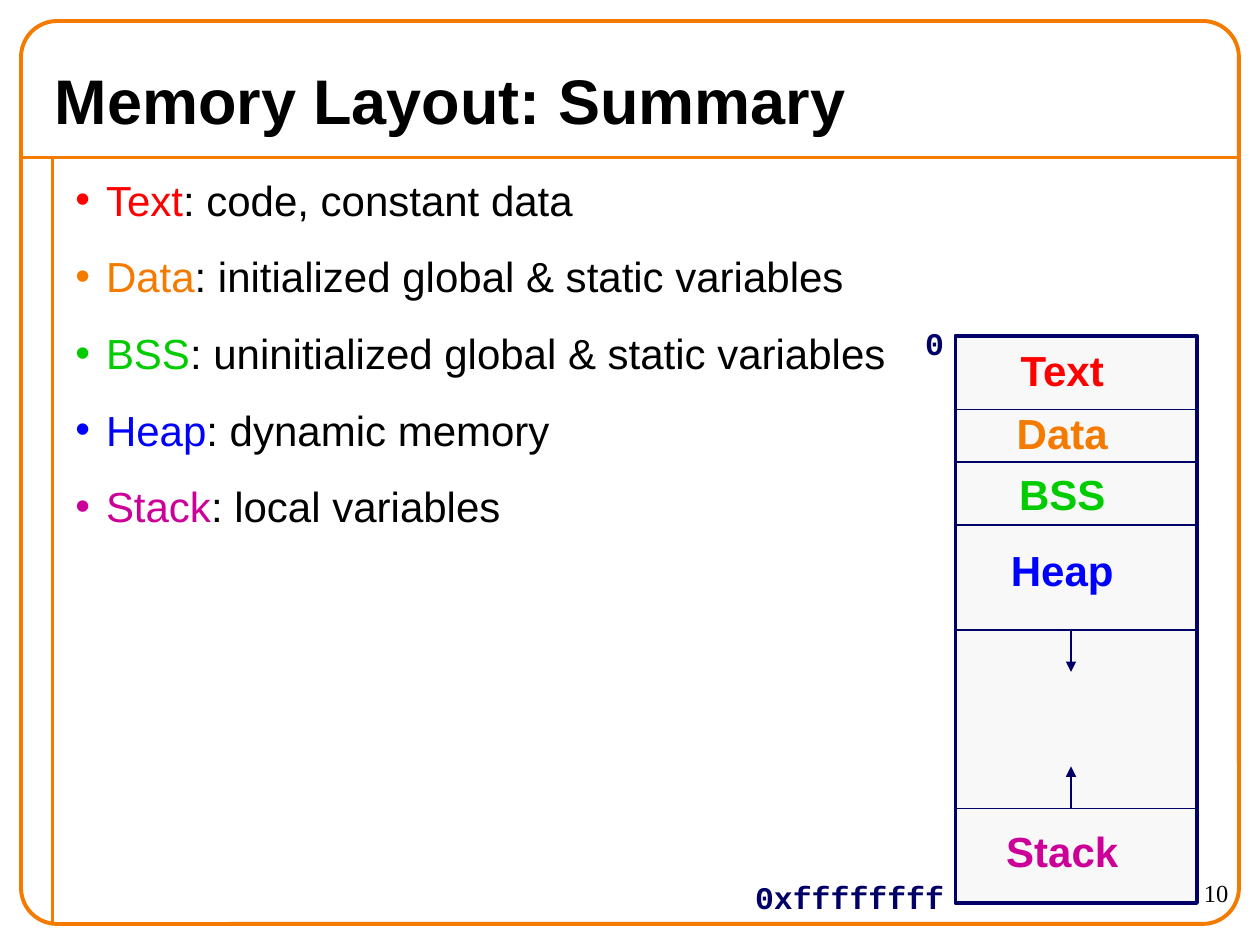
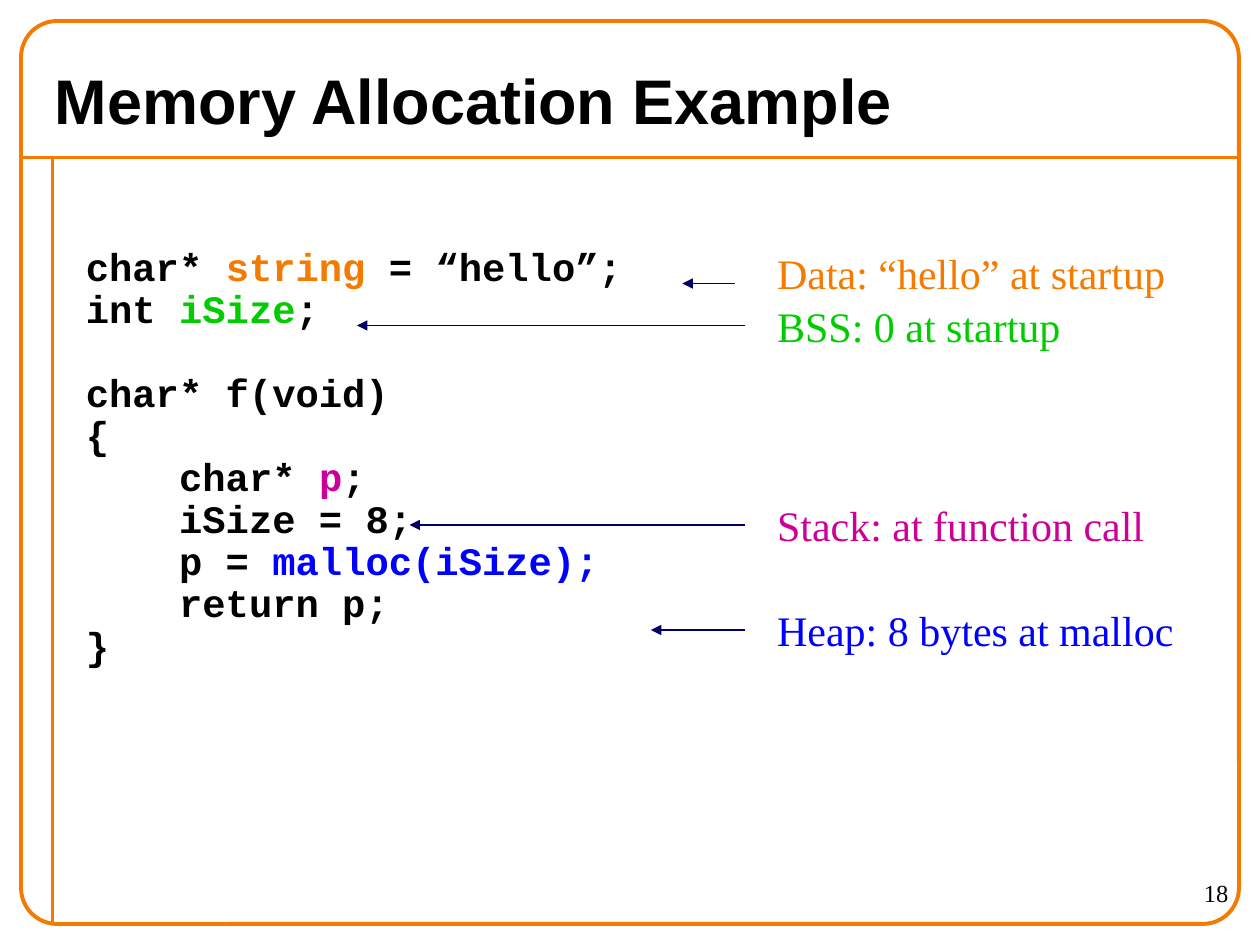
from dataclasses import dataclass

from lxml import etree
from pptx import Presentation
from pptx.dml.color import RGBColor
from pptx.enum import shapes, text
from pptx.oxml import ns
from pptx.util import Pt


@dataclass(frozen=True)
class Theme:
    ink: str = "000000"
    frame: str = "F47A00"
    navy: str = "000066"
    panel: str = "F8F8F8"
    sans: str = "Arial"
    mono: str = "Courier New"
    serif: str = "Times New Roman"
    title: float = 36
    body: float = 24
    code: float = 22.2
    address: float = 18
    number: float = 14
    leading: float = 1.2
    thick: float = 2.25
    thin: float = 0.75


T = Theme()
SEGMENT = {"Text": "FF0000", "Data": "F47A00", "BSS": "00CC00",
           "Heap": "0000FF", "Stack": "CC0099"}
LEFT, CENTER, RIGHT = text.PP_ALIGN.LEFT, text.PP_ALIGN.CENTER, text.PP_ALIGN.RIGHT


def rgb(color):
    return RGBColor.from_string(color)


def add_sub(parent, tag, **attrs):
    return etree.SubElement(parent, ns.qn(tag), attrs)


def add_box(slide, kind, box, color, fill=None):
    sp = slide.shapes.add_shape(kind, *map(Pt, box))
    sp.shadow.inherit = False
    sp.line.color.rgb = rgb(color)
    sp.line.width = Pt(T.thick)
    if fill:
        sp.fill.solid()
        sp.fill.fore_color.rgb = rgb(fill)
    else:
        sp.fill.background()
    return sp


def add_line(slide, start, end, color=T.navy, width=T.thin, arrow=False):
    line = slide.shapes.add_connector(shapes.MSO_CONNECTOR.STRAIGHT,
                                      *map(Pt, (*start, *end)))
    line.line.color.rgb = rgb(color)
    line.line.width = Pt(width)
    if arrow:
        add_sub(line.line._get_or_add_ln(), "a:tailEnd", type="triangle")
    add_sub(line._element.spPr, "a:effectLst")


def write_runs(p, runs, font, size, bold=False, leading=T.leading):
    """Fill a paragraph with (text, colour) runs of one font and size."""
    p.line_spacing = Pt(round(size * leading, 1))
    for words, color in runs:
        r = p.add_run()
        r.text = words
        r.font.name = font
        r.font.size = Pt(size)
        r.font.bold = bold
        r.font.color.rgb = rgb(color)


def add_frame(slide, box):
    sp = slide.shapes.add_textbox(*map(Pt, box))
    sp.text_frame.word_wrap = True
    return sp.text_frame


def add_paragraphs(tf, count):
    return [tf.paragraphs[0]] + [tf.add_paragraph() for _ in range(count - 1)]


def add_label(slide, box, words, color, font, size, align=LEFT, bold=False):
    p = add_frame(slide, box).paragraphs[0]
    p.alignment = align
    write_runs(p, [(words, color)], font, size, bold)


def add_base_slide(prs, title, number):
    slide = prs.slides.add_slide(prs.slide_layouts[5])
    left, top, width, height = 12, 12, 696, 516
    rule_y, margin_x = top + 78, left + 18
    add_line(slide, (left, rule_y), (left + width, rule_y), T.frame, T.thick)
    add_line(slide, (margin_x, rule_y), (margin_x, top + height), T.frame, T.thick)
    border = add_box(slide, shapes.MSO_SHAPE.ROUNDED_RECTANGLE,
                     (left, top, width, height), T.frame)
    border.adjustments[0] = 0.04
    # The number sits in the strip between the memory map and the border.
    add_label(slide, (637, 498, 72, 30), str(number), T.ink, T.serif, T.number, RIGHT)

    sp = slide.shapes.title
    sp.left, sp.top, sp.width, sp.height = map(Pt, (24, 30, 672, 54))
    tf = sp.text_frame
    tf.vertical_anchor = text.MSO_ANCHOR.MIDDLE
    tf.auto_size = text.MSO_AUTO_SIZE.NONE
    p = tf.paragraphs[0]
    p.alignment = LEFT
    write_runs(p, [(title, T.ink)], T.sans, T.title, bold=True)
    return slide


def add_segment_bullets(slide, box, meanings):
    tf = add_frame(slide, box)
    for p, (name, meaning) in zip(add_paragraphs(tf, len(meanings)), meanings.items()):
        color = SEGMENT[name]
        write_runs(p, [(name, color), (": " + meaning, T.ink)], T.sans, T.body)
        p.space_before = Pt(15)
        pPr = p._p.get_or_add_pPr()
        pPr.set("marL", str(Pt(17.5)))
        pPr.set("indent", str(-Pt(17.5)))
        add_sub(add_sub(pPr, "a:buClr"), "a:srgbClr", val=color)
        add_sub(pPr, "a:buFont", typeface=T.sans)
        add_sub(pPr, "a:buChar", char="•")


def add_memory_map(slide, box):
    x, y, width, height = box
    add_box(slide, shapes.MSO_SHAPE.RECTANGLE, box, T.navy, T.panel)
    for words, offset in (("0", -10.5), ("0xffffffff", height - 18)):
        add_label(slide, (x - 126, y + offset, 126.5, 28.8), words, T.navy,
                  T.mono, T.address, RIGHT, bold=True)
    heap_end, stack_start = 168, 270
    for offset in (42, 72, 108, heap_end, stack_start):
        add_line(slide, (x, y + offset), (x + width, y + offset))
    for name, offset in zip(SEGMENT, (1.5, 37.5, 72, 115.5, 276)):
        add_label(slide, (x, y + offset, 122, 36), name, SEGMENT[name],
                  T.sans, T.body, CENTER, bold=True)
    for offset, growth in ((heap_end, 24), (stack_start, -24)):
        add_line(slide, (x + 66, y + offset), (x + 66, y + offset + growth), arrow=True)


def add_code(slide, box, lines):
    """Set code lines given as (indent level, blank lines before, runs)."""
    line_height = T.code * T.leading * 0.9
    tab = 4 * 0.6 * T.code
    tf = add_frame(slide, box)
    for p, (level, blanks, runs) in zip(add_paragraphs(tf, len(lines)), lines):
        write_runs(p, [(words, SEGMENT.get(segment, T.ink)) for words, segment in runs],
                   T.mono, T.code, bold=True, leading=T.leading * 0.9)
        p.space_before = Pt(round(blanks * line_height, 1))
        p._p.get_or_add_pPr().set("marL", str(Pt(level * tab)))


def add_notes_with_arrows(slide, box, notes):
    """Place notes as (segment, remark, top, arrow y, arrow start, arrow end)."""
    x, y, width, height = box
    for name, remark, top, arrow_y, start, end in notes:
        add_label(slide, (x, y + top, width, height), f"{name}: {remark}",
                  SEGMENT[name], T.serif, T.body)
        add_line(slide, (x + start, y + arrow_y), (x + end, y + arrow_y), arrow=True)


def build_summary(prs):
    slide = add_base_slide(prs, "Memory Layout: Summary", 10)
    add_segment_bullets(slide, (36, 96, 666, 432), {
        "Text": "code, constant data",
        "Data": "initialized global & static variables",
        "BSS": "uninitialized global & static variables",
        "Heap": "dynamic memory",
        "Stack": "local variables",
    })
    add_memory_map(slide, (546, 192, 138, 324))


def build_example(prs):
    slide = add_base_slide(prs, "Memory Allocation Example", 18)
    add_code(slide, (42, 138, 360, 294), [
        (0, 0, [("char* ", None), ("string", "Data"), (" = “hello”;", None)]),
        (0, 0, [("int ", None), ("iSize", "BSS"), (";", None)]),
        (0, 1, [("char* f(void)", None)]),
        (0, 0, [("{", None)]),
        (1, 0, [("char* ", None), ("p", "Stack"), (";", None)]),
        (1, 0, [("iSize = 8;", None)]),
        (1, 0, [("p = ", None), ("malloc(iSize);", "Heap")]),
        (1, 0, [("return p;", None)]),
        (0, 0, [("}", None)]),
    ])
    add_notes_with_arrows(slide, (437, 138, 255, 36), [
        ("Data", "“hello” at startup", 0, 24, -17, -47),
        ("BSS", "0 at startup", 30, 48, -11, -233),
        ("Stack", "at function call", 144, 162, -11, -203),
        ("Heap", "8 bytes at malloc", 204, 222, -11, -65),
    ])


def main():
    prs = Presentation()
    prs.slide_width, prs.slide_height = Pt(720), Pt(540)
    build_summary(prs)
    build_example(prs)
    prs.save("out.pptx")


if __name__ == "__main__":
    main()
